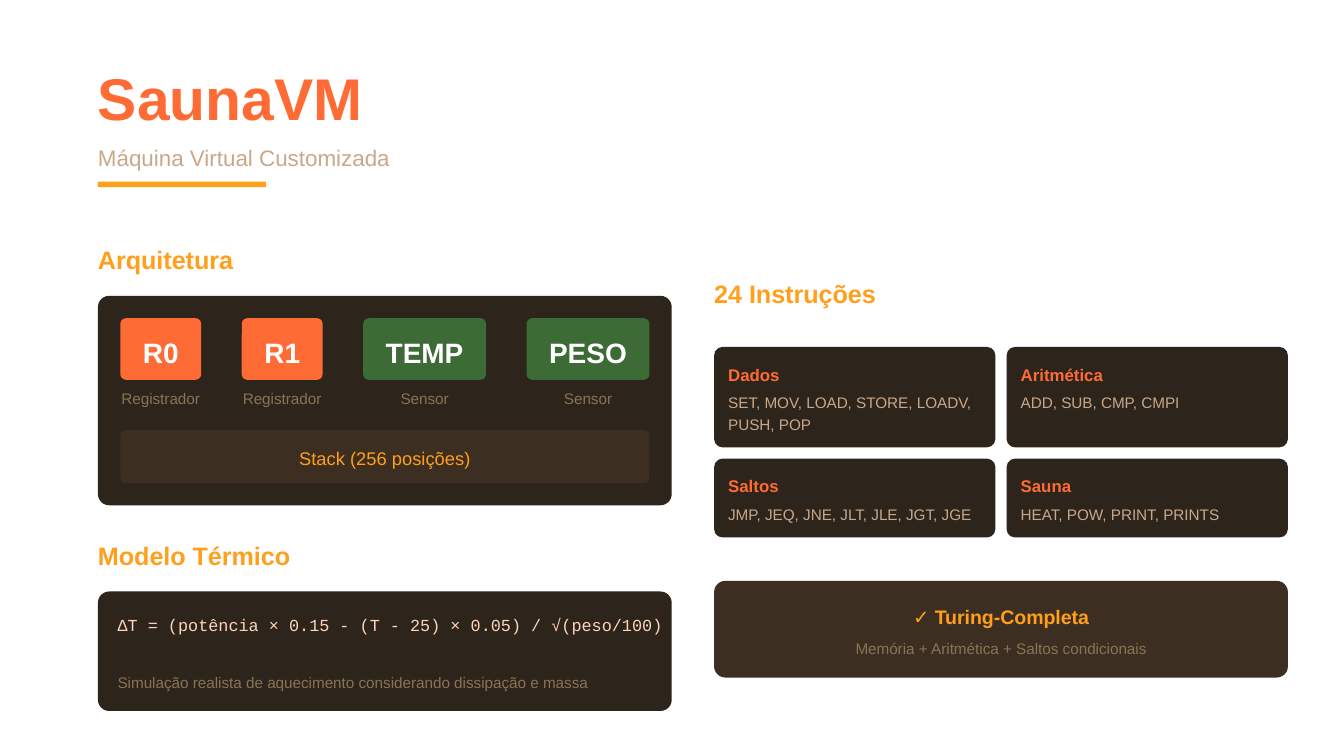
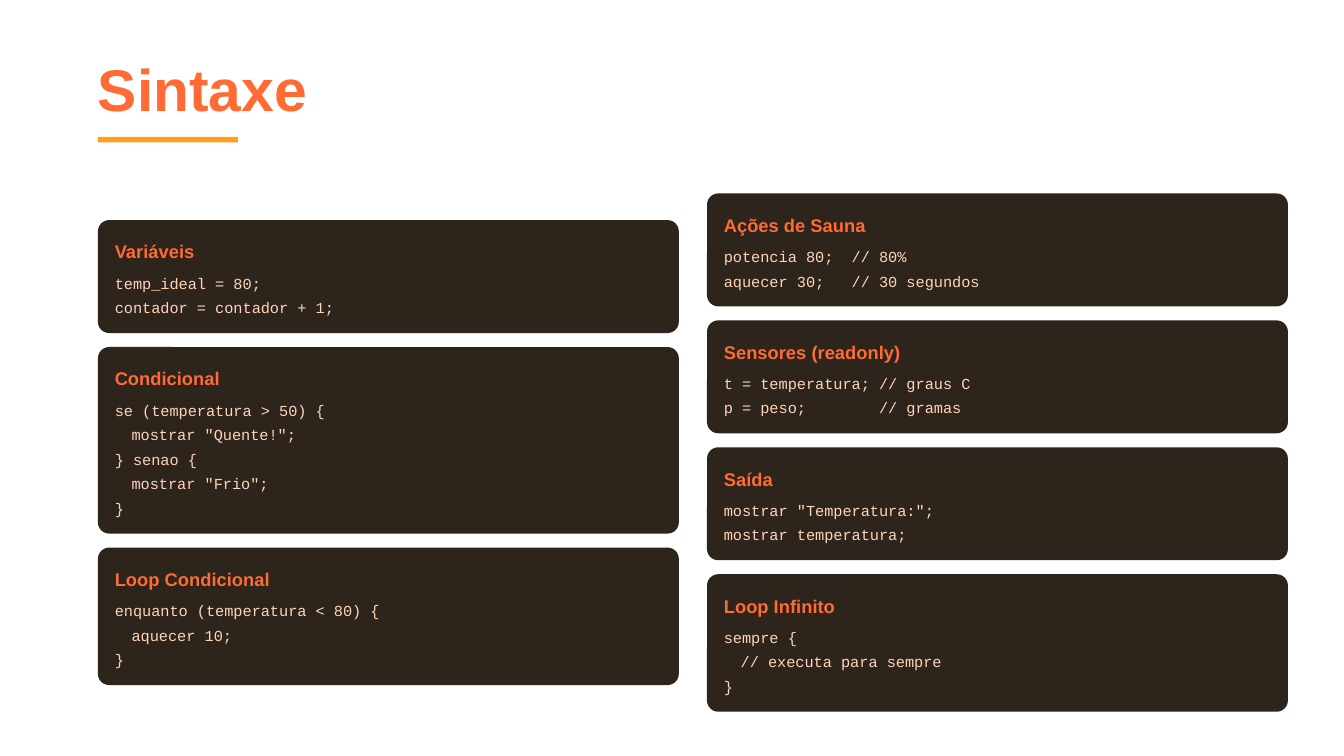
import pptx
import pptx.dml.color
import pptx.enum.shapes
import pptx.enum.text
import pptx.util

Pt = pptx.util.Pt
RGB = pptx.dml.color.RGBColor
SHAPE = pptx.enum.shapes.MSO_SHAPE
CENTER = pptx.enum.text.PP_ALIGN.CENTER

WHITE = RGB(0xFF, 0xFF, 0xFF)
ORANGE = RGB(0xFF, 0x6B, 0x35)
AMBER = RGB(0xFF, 0x9F, 0x1C)
GREEN = RGB(0x3D, 0x6B, 0x35)
DARK = RGB(0x2D, 0x24, 0x1C)
BROWN = RGB(0x3D, 0x2E, 0x22)
SAND = RGB(0xC9, 0xA8, 0x8A)
TAUPE = RGB(0x8B, 0x73, 0x55)
PEACH = RGB(0xFF, 0xD4, 0xB8)

LEFT, RIGHT = 52.5, 690
PANEL_W = 307.4


def style(size, color, leading, bold=False, font="Arial", **para):
    return {
        "color": color,
        "font": {"name": font, "size": Pt(size), "bold": bold},
        "para": {"line_spacing": Pt(leading), **para},
    }


TITLE = style(31.5, ORANGE, 31.5, True)
SUBTITLE = style(12, SAND, 16.8, space_before=Pt(3.8), space_after=Pt(3))
HEADING = style(13.5, AMBER, 16.2, True)
TILE = style(15, WHITE, 21, True, alignment=CENTER)
TILE_LABEL = style(8.2, TAUPE, 11.6, alignment=CENTER, space_before=Pt(3), space_after=Pt(3))
STACK = style(9.8, AMBER, 13.7, alignment=CENTER)
FORMULA = style(9, PEACH, 12.6, font="Courier New")
NOTE = style(8.2, TAUPE, 11.6, space_before=Pt(6))
GROUP = style(9, ORANGE, 12.6, True)
OPCODES = style(8.2, SAND, 11.6, space_before=Pt(3))
BADGE = style(10.5, AMBER, 14.7, True, alignment=CENTER)
BADGE_NOTE = style(8.2, TAUPE, 11.6, alignment=CENTER, space_before=Pt(4.5))
CARD_TITLE = style(9.8, ORANGE, 13.7, True, space_after=Pt(4.5))
CODE = style(8.2, PEACH, 11.6, font="Courier New")

TILES = [
    ("R0", "Registrador", 43.3, ORANGE),
    ("R1", "Registrador", 43.3, ORANGE),
    ("TEMP", "Sensor", 65.8, GREEN),
    ("PESO", "Sensor", 65.8, GREEN),
]
# Each row: top, height, groups from left to right
INSTRUCTION_ROWS = [
    (185.9, 53.8, [("Dados", "SET, MOV, LOAD, STORE, LOADV, PUSH, POP"),
                   ("Aritmética", "ADD, SUB, CMP, CMPI")]),
    (245.7, 42.2, [("Saltos", "JMP, JEQ, JNE, JLT, JLE, JGT, JGE"),
                   ("Sauna", "HEAT, POW, PRINT, PRINTS")]),
]
# Each card: title, then (indent level, code) lines
LEFT_CARDS = [
    ("Variáveis", [(0, "temp_ideal = 80;"), (0, "contador = contador + 1;")]),
    ("Condicional", [(0, "se (temperatura > 50) {"), (1, 'mostrar "Quente!";'),
                     (0, "} senao {"), (1, 'mostrar "Frio";'), (0, "}")]),
    ("Loop Condicional", [(0, "enquanto (temperatura < 80) {"), (1, "aquecer 10;"), (0, "}")]),
]
RIGHT_CARDS = [
    ("Ações de Sauna", [(0, "potencia 80;  // 80%"), (0, "aquecer 30;   // 30 segundos")]),
    ("Sensores (readonly)", [(0, "t = temperatura; // graus C"), (0, "p = peso;        // gramas")]),
    ("Saída", [(0, 'mostrar "Temperatura:";'), (0, "mostrar temperatura;")]),
    ("Loop Infinito", [(0, "sempre {"), (1, "// executa para sempre"), (0, "}")]),
]


def text(slide, x, y, w, content, st, lines=1):
    h = lines * st["para"]["line_spacing"].pt
    tf = slide.shapes.add_textbox(Pt(x), Pt(y), Pt(w), Pt(h)).text_frame
    frame = dict.fromkeys(("margin_left", "margin_top", "margin_right", "margin_bottom"), 0)
    for name, value in {**frame, "word_wrap": True}.items():
        setattr(tf, name, value)
    p = tf.paragraphs[0]
    for name, value in st["para"].items():
        setattr(p, name, value)
    r = p.add_run()
    r.text = content
    for name, value in st["font"].items():
        setattr(r.font, name, value)
    r.font.color.rgb = st["color"]


def box(slide, x, y, w, h, fill, radius=0):
    kind = SHAPE.ROUNDED_RECTANGLE if radius else SHAPE.RECTANGLE
    sp = slide.shapes.add_shape(kind, Pt(x), Pt(y), Pt(w), Pt(h))
    if radius:
        sp.adjustments[0] = radius / min(w, h)
    sp.shadow.inherit = False
    sp.fill.solid()
    sp.fill.fore_color.rgb = fill
    sp.line.fill.background()


def header(slide, top, title, rule_y, rule_w, subtitle=None):
    text(slide, LEFT, top, 326, title, TITLE)
    if subtitle:
        text(slide, LEFT, top + 35.3, 650, subtitle, SUBTITLE)
    box(slide, LEFT, rule_y, rule_w, 3, AMBER)


def architecture(slide, x, y):
    text(slide, x, y, 314, "Arquitetura", HEADING)
    top = y + 27.4
    box(slide, x, top, PANEL_W, 112.2, DARK, 6)
    pad = 12
    inner_w = PANEL_W - 2 * pad
    gap = (inner_w - sum(w for _, _, w, _ in TILES)) / (len(TILES) - 1)
    tile_x = x + pad
    for name, label, w, fill in TILES:
        box(slide, tile_x, top + pad, w, 33, fill, 3)
        text(slide, tile_x + 11.8, top + 18, w - 23.6, name, TILE)
        text(slide, tile_x - 0.4, top + 48.2, w + 0.8, label, TILE_LABEL)
        tile_x += w + gap
    box(slide, x + pad, top + 71.8, inner_w, 28.7, BROWN, 3)
    text(slide, x + pad + 4.5, top + 79.3, inner_w - 9, "Stack (256 posições)", STACK)


def thermal_model(slide, x, y):
    text(slide, x, y, 314, "Modelo Térmico", HEADING)
    top = y + 27.4
    box(slide, x, top, PANEL_W, 64, DARK, 6)
    text(slide, x + 10.5, top + 10.8, 292.6,
         "ΔT = (potência × 0.15 - (T - 25) × 0.05) / √(peso/100)", FORMULA, 2)
    text(slide, x + 10.5, top + 41.8, 292.6,
         "Simulação realista de aquecimento considerando dissipação e massa", NOTE)


def instructions(slide, x):
    text(slide, x, 149, 314, "24 Instruções", HEADING)
    gap = 6
    w = (PANEL_W - gap) / 2
    for top, h, groups in INSTRUCTION_ROWS:
        for col, (name, opcodes) in enumerate(groups):
            left = x + col * (w + gap)
            box(slide, left, top, w, h, DARK, 4.5)
            text(slide, left + 7.5, top + 7.6, 138.2, name, GROUP)
            text(slide, left + 7.5, top + 23.2, 138.2, opcodes, OPCODES,
                 2 if len(opcodes) > 35 else 1)


def turing_badge(slide, x, y):
    box(slide, x, y, PANEL_W, 51.8, BROWN, 6)
    text(slide, x + 7.5, y + 10.6, PANEL_W - 15, "✓ Turing-Completa", BADGE)
    text(slide, x + 7.5, y + 29.5, PANEL_W - 15,
         "Memória + Aritmética + Saltos condicionais", BADGE_NOTE)


def code_column(slide, x, w, middle, cards):
    """Stack code cards, centred vertically on middle."""
    gap, pitch, pad = 7.5, 13.15, 9
    heights = [34.2 + pitch * len(lines) for _, lines in cards]
    top = middle - (sum(heights) + gap * (len(cards) - 1)) / 2
    for (title, lines), h in zip(cards, heights):
        box(slide, x, top, w, h, DARK, 6)
        text(slide, x + pad, top + pad, 299, title, CARD_TITLE)
        for i, (level, code) in enumerate(lines):
            indent = 9 * level
            text(slide, x + pad + indent, top + 27 + i * pitch, 299 - indent, code, CODE)
        top += h + gap


def vm_slide(slide):
    header(slide, 39.6, "SaunaVM", 97.3, 90, "Máquina Virtual Customizada")
    architecture(slide, LEFT, 131.1)
    thermal_model(slide, LEFT, 289.5)
    right_x = RIGHT - PANEL_W
    instructions(slide, right_x)
    turing_badge(slide, right_x, 311.2)


def syntax_slide(slide):
    header(slide, 34.6, "Sintaxe", 73.4, 75)
    card_w = 311.2
    code_column(slide, LEFT, card_w, 242.5, LEFT_CARDS)
    code_column(slide, RIGHT - card_w, card_w, 242.5, RIGHT_CARDS)


def main():
    prs = pptx.Presentation()
    prs.slide_width, prs.slide_height = Pt(720), Pt(405)
    for build in (vm_slide, syntax_slide):
        build(prs.slides.add_slide(prs.slide_layouts[6]))
    prs.save("out.pptx")


if __name__ == "__main__":
    main()
